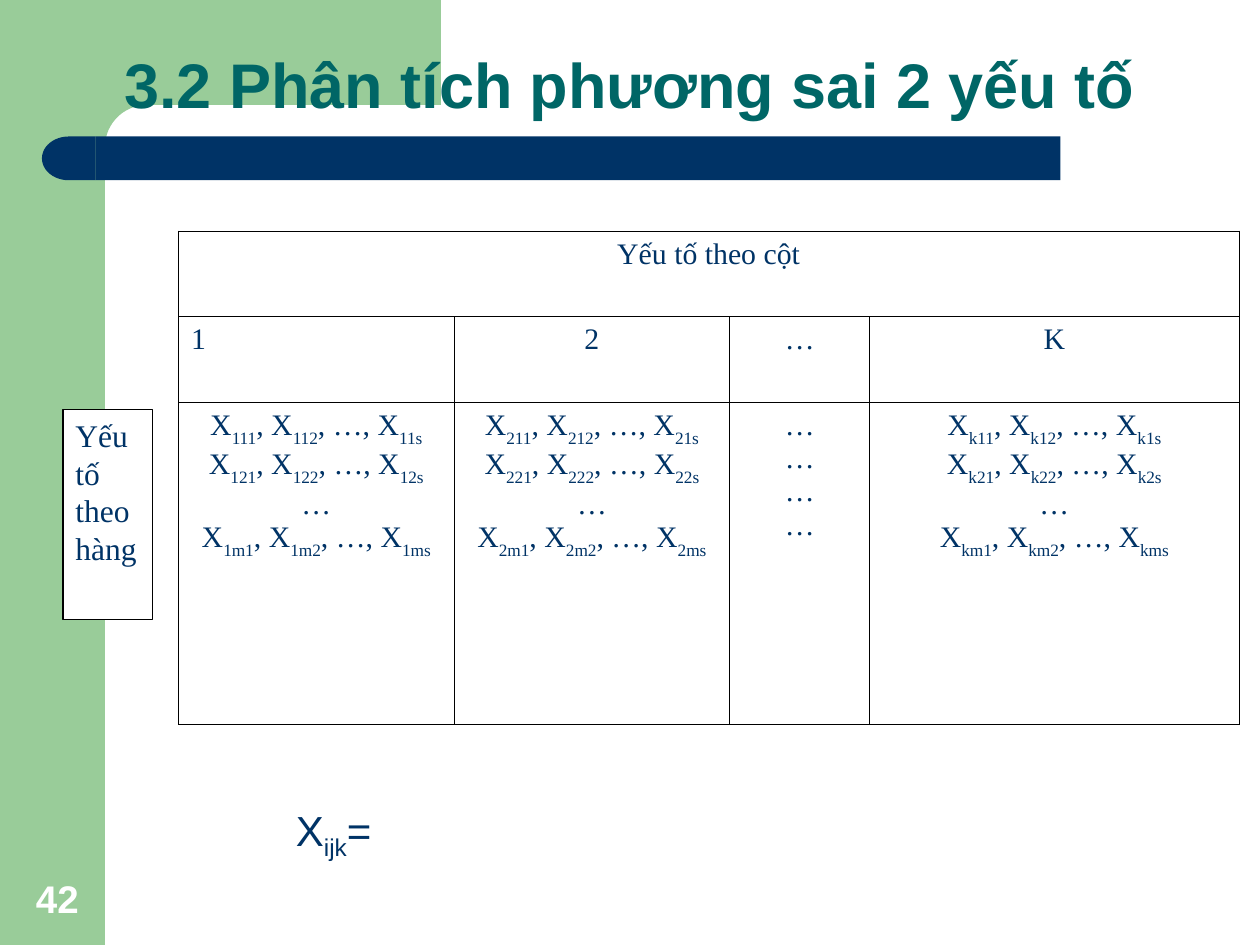
import math

import lxml.etree
import pptx
import pptx.dml.color
import pptx.enum.shapes
import pptx.enum.text
import pptx.oxml.ns
import pptx.util

Pt = pptx.util.Pt
RGBColor = pptx.dml.color.RGBColor
ALIGN = pptx.enum.text.PP_ALIGN
ANCHOR = pptx.enum.text.MSO_ANCHOR
SHAPE = pptx.enum.shapes.MSO_SHAPE
qn = pptx.oxml.ns.qn

GREEN = RGBColor(0x99, 0xCC, 0x99)
NAVY = RGBColor(0x00, 0x33, 0x66)
TEAL = RGBColor(0x00, 0x66, 0x66)
WHITE = RGBColor(0xFF, 0xFF, 0xFF)
BLACK = RGBColor(0x00, 0x00, 0x00)

TITLE = {"name": "Arial", "size": Pt(36), "bold": True}
NUMBER = {"name": "Arial", "size": Pt(22), "bold": True}
FORMULA = {"name": "Arial", "size": Pt(24)}
LABEL = {"name": "Times New Roman", "size": Pt(18)}
CELL = {"name": "Times New Roman", "size": Pt(17)}
INSETS = {
    "margin_left": Pt(7.2),
    "margin_top": Pt(3.6),
    "margin_right": Pt(7.2),
    "margin_bottom": Pt(3.6),
}


def apply(target, values):
    for name, value in values.items():
        setattr(target, name, value)


def write(frame, lines, font, color, align=ALIGN.LEFT, drop="-30000", spacing=None):
    for index, line in enumerate(lines):
        para = frame.add_paragraph() if index else frame.paragraphs[0]
        apply(para, {"alignment": align, "line_spacing": spacing})
        for position, piece in enumerate(line.split("_")):
            if not piece:
                continue
            span = para.add_run()
            span.text = piece
            apply(span.font, font)
            span.font.color.rgb = color
            if position % 2:
                span.font._element.set("baseline", drop)


def paint(shape, fill, line=None):
    shape.shadow.inherit = False
    shape.fill.solid()
    shape.fill.fore_color.rgb = fill
    if line is None:
        shape.line.fill.background()
    else:
        shape.line.color.rgb = line
        shape.line.width = Pt(0.75)


def add_block(page, kind, box, fill, line=None):
    shape = page.shapes.add_shape(kind, *map(Pt, box))
    paint(shape, fill, line)
    return shape


def add_text(page, box, lines, font, color, anchor=ANCHOR.TOP, **layout):
    frame = page.shapes.add_textbox(*map(Pt, box)).text_frame
    apply(frame, {**INSETS, "word_wrap": True, "vertical_anchor": anchor})
    write(frame, lines, font, color, **layout)


def add_backdrop(page, box):
    left, top, width, height = box
    side = 60
    add_block(page, SHAPE.RECTANGLE, (left, top, side, height), GREEN)
    radius = 24
    center_x, center_y = left + side + radius, top + side + radius
    arc = [
        (
            center_x - radius * math.sin(math.radians(angle)),
            center_y - radius * math.cos(math.radians(angle)),
        )
        for angle in range(0, 91, 6)
    ]
    outer, right, bottom = left + 36, left + 252, top + 92
    outline = [(right, top), (right, top + side), *arc,
               (left + side, bottom), (outer, bottom), (outer, top)]
    points = [(Pt(x), Pt(y)) for x, y in outline]
    builder = page.shapes.build_freeform(*points[0], scale=1.0)
    builder.add_line_segments(points[1:], close=True)
    paint(builder.convert_to_shape(), GREEN)


def add_title_bar(page, box):
    left, top, width, height = box
    cap = 30.6
    bar_box = (left + cap, top, width - cap, height)
    bar = add_block(page, SHAPE.ROUNDED_RECTANGLE, bar_box, NAVY)
    bar.adjustments[0] = 0
    end = add_block(page, SHAPE.FLOWCHART_DELAY, (left, top, cap, height), NAVY)
    end._element.spPr.find(qn("a:xfrm")).set("flipH", "1")


def add_row_label(page, box):
    shape = add_block(page, SHAPE.RECTANGLE, box, WHITE, BLACK)
    frame = shape.text_frame
    apply(frame, {**INSETS, "word_wrap": True, "vertical_anchor": ANCHOR.TOP})
    write(frame, ["Yếu tố theo hàng"], LABEL, NAVY)


def draw_borders(cell):
    props = cell._tc.get_or_add_tcPr()
    for index, side in enumerate(("lnL", "lnR", "lnT", "lnB")):
        line = lxml.etree.Element(qn("a:" + side), w=str(Pt(0.45)))
        fill = lxml.etree.SubElement(line, qn("a:solidFill"))
        lxml.etree.SubElement(fill, qn("a:srgbClr"), val=str(BLACK))
        props.insert(index, line)


def observations(column):
    rows = [
        f"X_{column}{row}1_, X_{column}{row}2_, …, X_{column}{row}s_"
        for row in ("1", "2", "m")
    ]
    return [*rows[:2], "…", rows[2]]


def add_factor_table(page, box):
    widths = (157.5, 157.5, 80, 211)
    heights = (49, 49, 184)
    table = page.shapes.add_table(
        len(heights), len(widths), *map(Pt, box)
    ).table
    apply(table, {"first_row": False, "horz_banding": False})
    for column, width in zip(table.columns, widths):
        column.width = Pt(width)
    for row, height in zip(table.rows, heights):
        row.height = Pt(height)
    for cell in table.iter_cells():
        apply(cell, {**INSETS, "vertical_anchor": ANCHOR.TOP})
        cell.fill.background()
        draw_borders(cell)
    heading = table.cell(0, 0)
    heading.merge(table.cell(0, len(widths) - 1))
    write(heading.text_frame, ["Yếu tố theo cột"], CELL, NAVY, ALIGN.CENTER)
    columns = [
        ("1", observations("1")),
        ("2", observations("2")),
        ("…", ["…"] * 4),
        ("K", observations("k")),
    ]
    for index, (name, lines) in enumerate(columns):
        align = ALIGN.CENTER if index else ALIGN.LEFT
        write(table.cell(1, index).text_frame, [name], CELL, NAVY, align)
        write(table.cell(2, index).text_frame, lines, CELL, NAVY, ALIGN.CENTER)


def main():
    deck = pptx.Presentation()
    apply(deck, {"slide_width": Pt(720), "slide_height": Pt(540)})
    page = deck.slides.add_slide(deck.slide_layouts[6])
    add_backdrop(page, (0, 0, 720, 540))
    add_title_bar(page, (24, 78, 582, 25))
    add_text(page, (0, 492, 65.5, 38), ["42"], NUMBER, WHITE,
             ANCHOR.BOTTOM, align=ALIGN.CENTER)
    add_text(page, (64, 16, 639.5, 57.5), ["3.2 Phân tích phương sai 2 yếu tố"],
             TITLE, TEAL, ANCHOR.BOTTOM, spacing=0.9)
    add_row_label(page, (36, 234, 51, 120))
    add_factor_table(page, (102, 132, 606, 282))
    add_text(page, (162, 456, 216, 40), ["X_ijk_="], FORMULA, NAVY, drop="-25000")
    deck.save("out.pptx")


if __name__ == "__main__":
    main()
